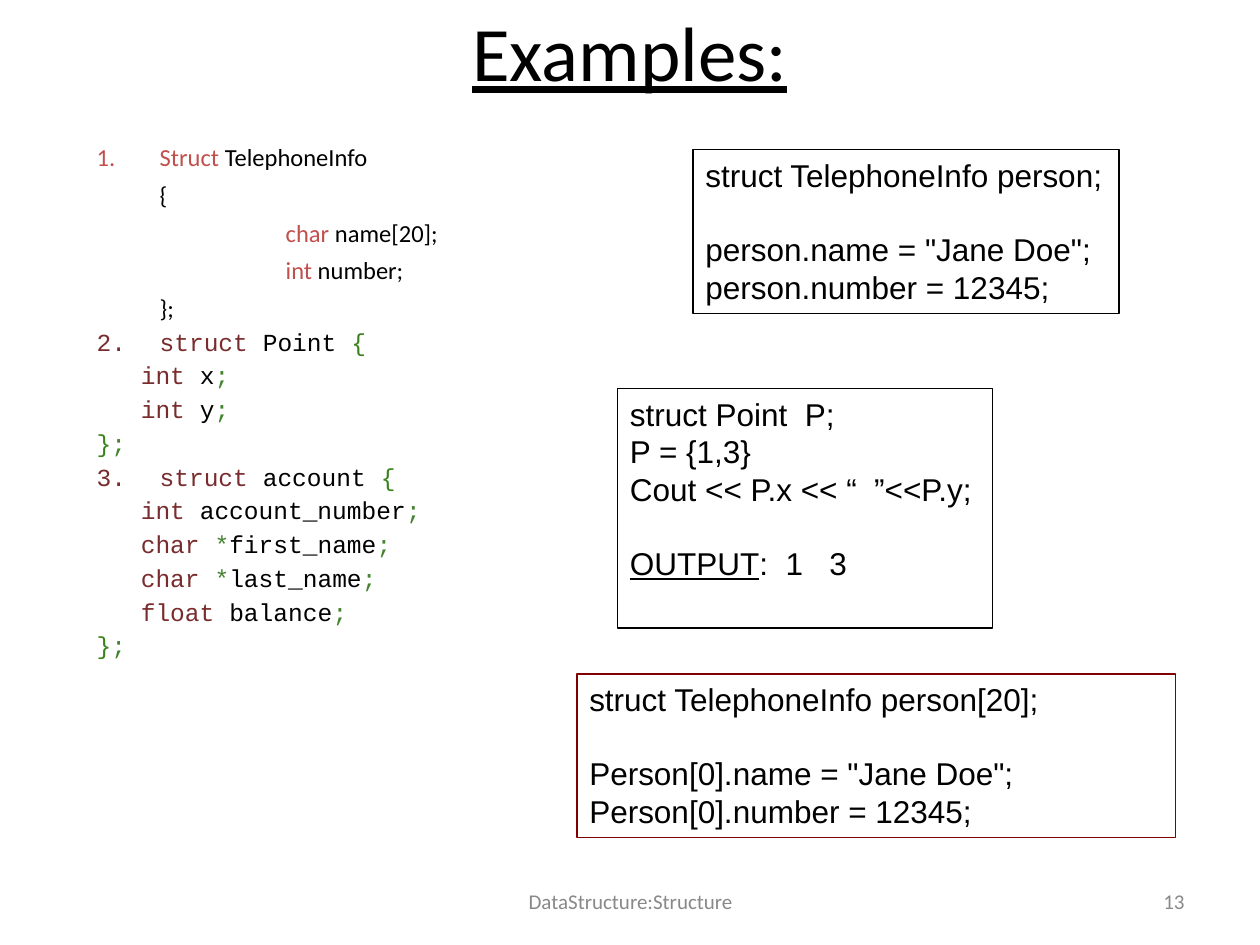
from lxml.etree import SubElement
from pptx import Presentation
from pptx.dml.color import RGBColor
from pptx.enum.shapes import MSO_SHAPE
from pptx.enum.text import MSO_ANCHOR, PP_ALIGN
from pptx.oxml.ns import qn
from pptx.util import Cm, Pt

COLORS = {
    "black": "000000",
    "red": "C0504D",
    "maroon": "792C2D",
    "brace": "39821B",
    "green": "44832F",
    "frame": "800000",
    "grey": "898989",
}
TITLE = {"name": "Calibri", "size": Pt(44), "underline": True}
RECORD = {"name": "Calibri", "size": Pt(14)}
CODE = {"name": "Courier New", "size": Pt(14)}
USAGE = {"name": "Arial", "size": Pt(18)}
FOOTER = {"name": "Calibri", "size": Pt(12)}
RECORD_SPACING = {"space_before": Pt(4.75)}
CODE_SPACING = {"space_before": Pt(5), "line_spacing": 0.85}
SKIPPED_LINE = {"space_before": Pt(20.7)}
HANG = 1.27
CODE_INDENT = 0.89


def apply(target, values):
    for name, value in values.items():
        setattr(target, name, value)


def rgb(color):
    return RGBColor.from_string(COLORS[color])


def add_run(paragraph, words, font, color="black"):
    run = paragraph.add_run()
    run.text = words
    apply(run.font, font)
    run.font.color.rgb = rgb(color)


def next_paragraph(frame):
    first = frame.paragraphs[0]
    return frame.add_paragraph() if first.runs else first


def set_indent(paragraph, margin, number=None, color=None):
    properties = paragraph._p.get_or_add_pPr()
    properties.set("marL", str(Cm(margin)))
    properties.set("indent", str(Cm(-HANG if number else 0)))
    if number:
        bullet_color = SubElement(properties, qn("a:buClr"))
        SubElement(bullet_color, qn("a:srgbClr"), val=COLORS[color])
        SubElement(properties, qn("a:buAutoNum"), type="arabicPeriod", startAt=str(number))


def add_label(slide, box, words, font, color, align):
    frame = slide.shapes.add_textbox(*map(Cm, box)).text_frame
    apply(frame, {"word_wrap": True, "vertical_anchor": MSO_ANCHOR.MIDDLE})
    frame.paragraphs[0].alignment = align
    add_run(frame.paragraphs[0], words, font, color)


def add_line(frame, parts, font, spacing, margin, number=None):
    paragraph = next_paragraph(frame)
    apply(paragraph, spacing)
    set_indent(paragraph, margin, number, parts[0][1])
    for words, color in parts:
        add_run(paragraph, words, font, color)


def add_record(frame, number, name, fields):
    style = (RECORD, RECORD_SPACING)
    add_line(frame, [("Struct", "red"), (f" {name}", "black")], *style, HANG, number)
    add_line(frame, [("{", "black")], *style, HANG)
    for kind, field in fields:
        add_line(frame, [(kind, "red"), (f" {field};", "black")], *style, 3 * HANG)
    add_line(frame, [("};", "black")], *style, HANG)


def add_code_struct(frame, number, name, fields):
    style = (CODE, CODE_SPACING)
    heading = [("struct", "maroon"), (f" {name} ", "black"), ("{", "brace")]
    add_line(frame, heading, *style, HANG, number)
    for kind, pointer, field in fields:
        parts = [(f"{kind} ", "maroon"), (pointer, "green"), (field, "black"), (";", "green")]
        add_line(frame, [part for part in parts if part[0]], *style, CODE_INDENT)
    add_line(frame, [("}", "brace"), (";", "green")], *style, 0)


def add_declarations(slide, box):
    frame = slide.shapes.add_textbox(*map(Cm, box)).text_frame
    frame.word_wrap = True
    add_record(frame, 1, "TelephoneInfo", [("char", "name[20]"), ("int", "number")])
    add_code_struct(frame, 2, "Point", [("int", "", "x"), ("int", "", "y")])
    add_code_struct(frame, 3, "account", [
        ("int", "", "account_number"),
        ("char", "*", "first_name"),
        ("char", "*", "last_name"),
        ("float", "", "balance"),
    ])


def add_usage(slide, box, blocks, border="black", wrap=False):
    panel = slide.shapes.add_shape(MSO_SHAPE.RECTANGLE, *map(Cm, box))
    panel.shadow.inherit = False
    panel.fill.background()
    panel.line.color.rgb = rgb(border)
    panel.line.width = Pt(0.75)
    frame = panel.text_frame
    apply(frame, {"word_wrap": wrap, "vertical_anchor": MSO_ANCHOR.TOP})
    for block_index, block in enumerate(blocks):
        for line_index, parts in enumerate(block):
            paragraph = next_paragraph(frame)
            paragraph.alignment = PP_ALIGN.LEFT
            if block_index and not line_index:
                apply(paragraph, SKIPPED_LINE)
            for words, underline in parts:
                add_run(paragraph, words, {**USAGE, "underline": underline})


def plain(*lines):
    return [[(line, False)] for line in lines]


def telephone_usage(declared, accessed):
    return [
        plain(f"struct TelephoneInfo {declared};"),
        plain(f'{accessed}.name = "Jane Doe";', f"{accessed}.number = 12345;"),
    ]


def main():
    deck = Presentation()
    apply(deck, {"slide_width": Cm(25.4), "slide_height": Cm(19.05)})
    slide = deck.slides.add_slide(deck.slide_layouts[6])
    add_label(slide, (1.27, -0.08, 22.86, 2.21), "Examples:", TITLE, "black", PP_ALIGN.CENTER)
    add_declarations(slide, (1.7, 2.74, 17.78, 11.23))
    add_usage(slide, (12.45, 7.83, 7.56, 4.83), [
        plain("struct Point  P;", "P = {1,3}", "Cout << P.x << “  ”<<P.y;"),
        [[("OUTPUT", True), (":  1   3", False)]],
    ])
    add_usage(slide, (13.97, 3.02, 8.59, 3.3), telephone_usage("person", "person"))
    add_usage(slide, (11.63, 13.59, 12.07, 3.3),
              telephone_usage("person[20]", "Person[0]"), "frame", True)
    add_label(slide, (8.69, 17.65, 8.05, 1.02), "DataStructure:Structure",
              FOOTER, "grey", PP_ALIGN.CENTER)
    add_label(slide, (18.21, 17.65, 5.92, 1.02), "13", FOOTER, "grey", PP_ALIGN.RIGHT)
    deck.save("out.pptx")


if __name__ == "__main__":
    main()
